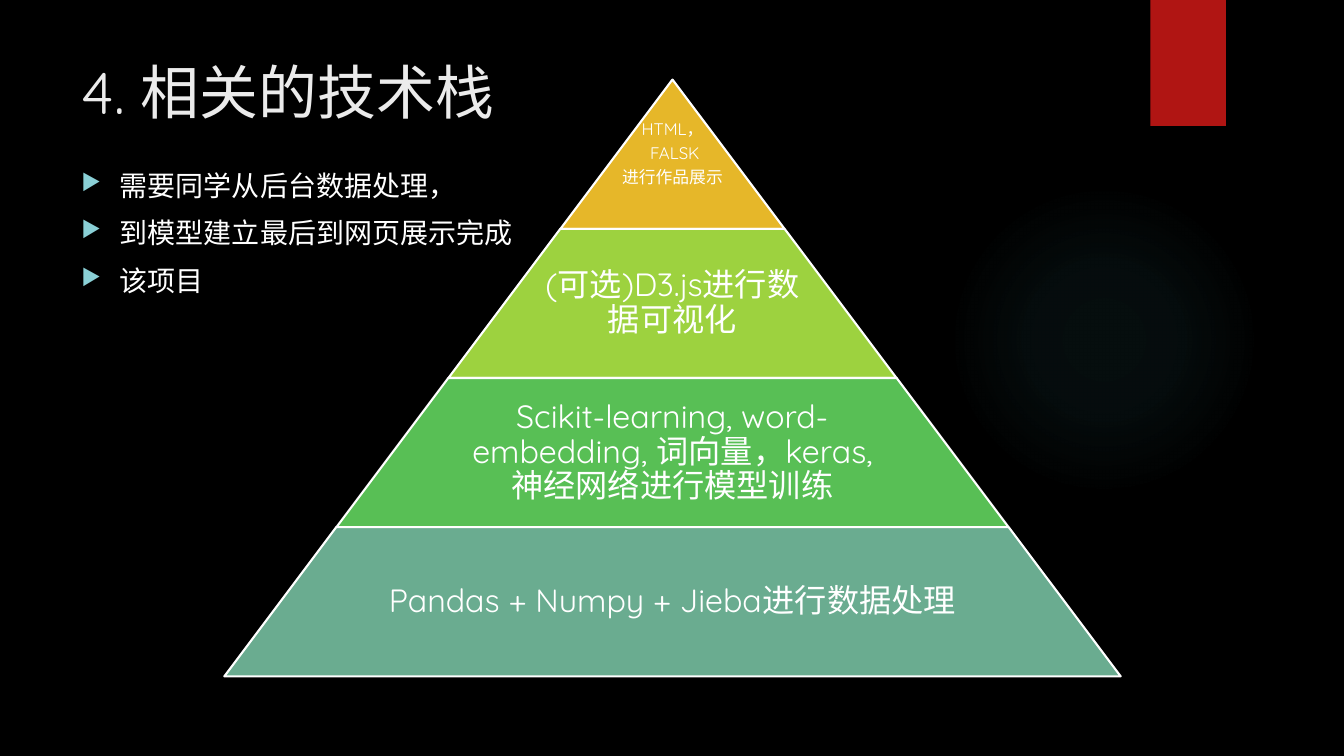
import lxml.etree
import pptx
import pptx.dml.color
import pptx.enum.shapes
import pptx.enum.text
import pptx.oxml
import pptx.oxml.ns
import pptx.util

Inches = pptx.util.Inches
Pt = pptx.util.Pt
RGBColor = pptx.dml.color.RGBColor
Preset = pptx.enum.shapes.MSO_SHAPE
Align = pptx.enum.text.PP_ALIGN
Anchor = pptx.enum.text.MSO_ANCHOR
qn = pptx.oxml.ns.qn

FONT = "Quicksand"
BLACK = RGBColor(0x00, 0x00, 0x00)
WHITE = RGBColor(0xFF, 0xFF, 0xFF)
TITLE_GREY = RGBColor(0xEB, 0xEB, 0xEB)
RED = RGBColor(0xB0, 0x15, 0x13)
GLOW_TEAL = RGBColor(0x50, 0xB9, 0xC1)
BULLET_TEAL = RGBColor(0x8A, 0xD0, 0xD6)
YELLOW = RGBColor(0xE6, 0xB7, 0x29)
LIME = RGBColor(0x9D, 0xD2, 0x3F)
GREEN = RGBColor(0x58, 0xBF, 0x55)
SAGE = RGBColor(0x6A, 0xAC, 0x90)

TITLE = "4. 相关的技术栈"
POINTS = ["需要同学从后台数据处理，", "到模型建立最后到网页展示完成", "该项目"]
LEVELS = [
    (YELLOW, 12, 1, ["HTML，", " FALSK", "进行作品展示"]),
    (LIME, 23, 0.65, ["(可选)D3.js进行数据可视化"]),
    (GREEN, 23, 0.65, ["Scikit-learning, word-embedding, 词向量，keras, 神经网络进行模型训练"]),
    (SAGE, 23, 0.65, ["Pandas + Numpy + Jieba进行数据处理"]),
]
PYRAMID_CENTER = 6.67
PYRAMID_TOP = 0.79
LEVEL_HEIGHT = 1.48
LEVEL_STEP = 2.2225


def add_plain_shape(shapes, preset, left, top, width, height, color):
    shape = shapes.add_shape(preset, Inches(left), Inches(top), Inches(width), Inches(height))
    shape.shadow.inherit = False
    shape.fill.solid()
    shape.fill.fore_color.rgb = color
    shape.line.fill.background()
    return shape


def add_text(shapes, left, top, width, height, lines, size, color):
    box = shapes.add_textbox(Inches(left), Inches(top), Inches(width), Inches(height))
    frame = box.text_frame
    frame.word_wrap = True
    for index, line in enumerate(lines):
        paragraph = frame.paragraphs[0] if index == 0 else frame.add_paragraph()
        run = paragraph.add_run()
        run.text = line
        run.font.name = FONT
        run.font.size = Pt(size)
        run.font.color.rgb = color
    return frame


def add_glow(shapes):
    glow = add_plain_shape(shapes, Preset.OVAL, 9.41, 1.83, 3.08, 3.08, GLOW_TEAL)
    stops = "".join(
        f'<a:gs pos="{position * 1000}"><a:srgbClr val="{GLOW_TEAL}">'
        f'<a:alpha val="{alpha * 1000}"/></a:srgbClr></a:gs>'
        for position, alpha in [(0, 7), (36, 6), (69, 0)]
    )
    gradient = pptx.oxml.parse_xml(
        '<a:gradFill xmlns:a="http://schemas.openxmlformats.org/drawingml/2006/main">'
        f'<a:gsLst>{stops}</a:gsLst><a:path path="circle">'
        '<a:fillToRect l="50000" t="50000" r="50000" b="50000"/></a:path></a:gradFill>'
    )
    properties = glow.element.spPr
    properties.replace(properties.find(qn("a:solidFill")), gradient)


def add_bullet(paragraph):
    paragraph.space_before = Pt(10)
    properties = paragraph._p.get_or_add_pPr()
    properties.set("marL", str(Inches(0.38)))
    properties.set("indent", str(Inches(-0.38)))
    bullet_color = lxml.etree.SubElement(properties, qn("a:buClr"))
    lxml.etree.SubElement(bullet_color, qn("a:srgbClr"), val=str(BULLET_TEAL))
    lxml.etree.SubElement(properties, qn("a:buSzPct"), val="80000")
    lxml.etree.SubElement(properties, qn("a:buChar"), char="▶")


def add_level(shapes, index, color, size, text_share, lines):
    width = LEVEL_STEP * (index + 1)
    top = PYRAMID_TOP + LEVEL_HEIGHT * index
    level = add_plain_shape(shapes, Preset.TRAPEZOID, PYRAMID_CENTER - width / 2, top,
                            width, LEVEL_HEIGHT, color)
    level.adjustments[0] = 0.75
    level.line.color.rgb = WHITE
    level.line.width = Pt(1.5)

    text_width = width * text_share
    frame = add_text(shapes, PYRAMID_CENTER - text_width / 2, top, text_width,
                     LEVEL_HEIGHT, lines, size, WHITE)
    frame.vertical_anchor = Anchor.MIDDLE
    inset = Inches(0.02 if size < 20 else 0.03)
    frame.margin_left = frame.margin_right = inset
    frame.margin_top = frame.margin_bottom = inset
    for paragraph in frame.paragraphs:
        paragraph.alignment = Align.CENTER
        paragraph.line_spacing = 0.9
        paragraph.space_after = Pt(round(size * 0.35, 1))


def main():
    presentation = pptx.Presentation()
    presentation.slide_width = Inches(13.33)
    presentation.slide_height = Inches(7.5)
    slide = presentation.slides.add_slide(presentation.slide_layouts[6])
    slide.background.fill.solid()
    slide.background.fill.fore_color.rgb = BLACK

    add_glow(slide.shapes)
    add_plain_shape(slide.shapes, Preset.RECTANGLE, 11.41, 0, 0.75, 1.25, RED)
    add_text(slide.shapes, 0.71, 0.5, 10.29, 1.53, [TITLE], 42, TITLE_GREY)
    points = add_text(slide.shapes, 0.71, 1.62, 9.78, 4.59, POINTS, 20, WHITE)
    for paragraph in points.paragraphs:
        add_bullet(paragraph)

    pyramid = slide.shapes.add_group_shape()
    for index, level in enumerate(LEVELS):
        add_level(pyramid.shapes, index, *level)

    presentation.save("out.pptx")


if __name__ == "__main__":
    main()
